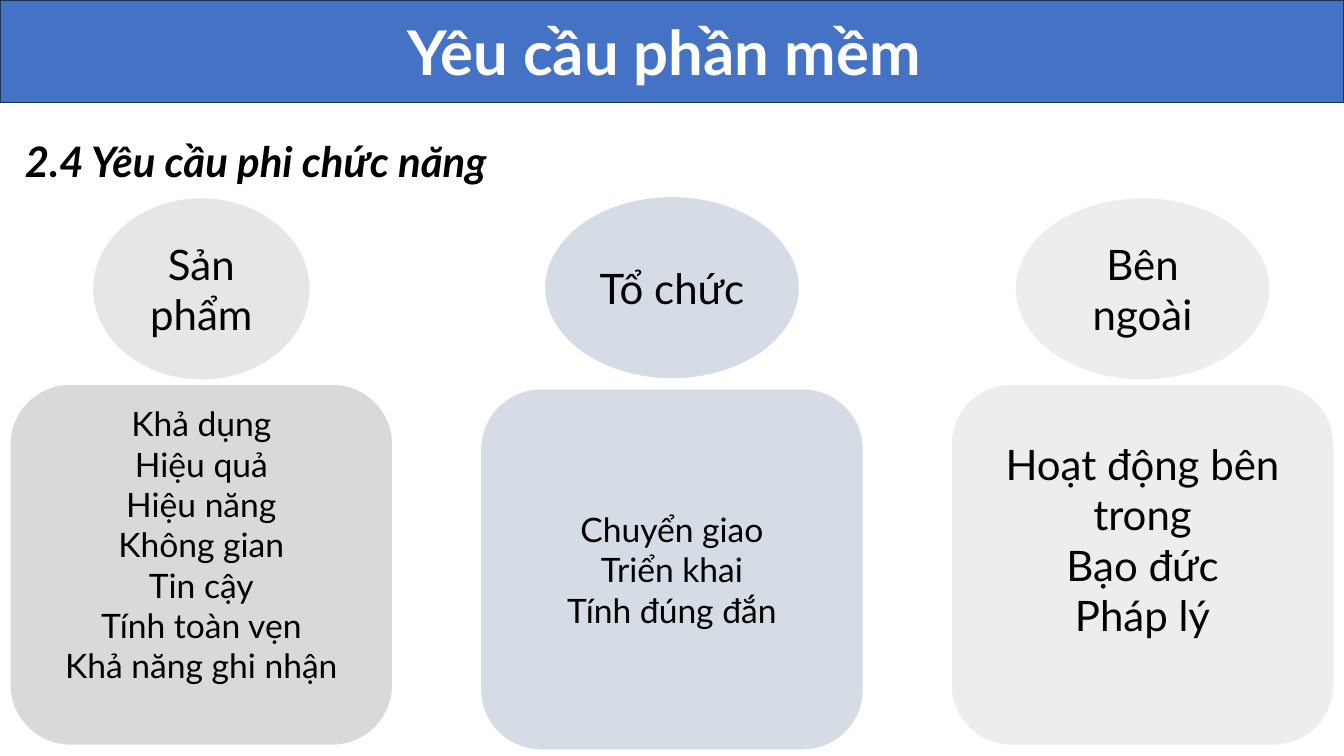
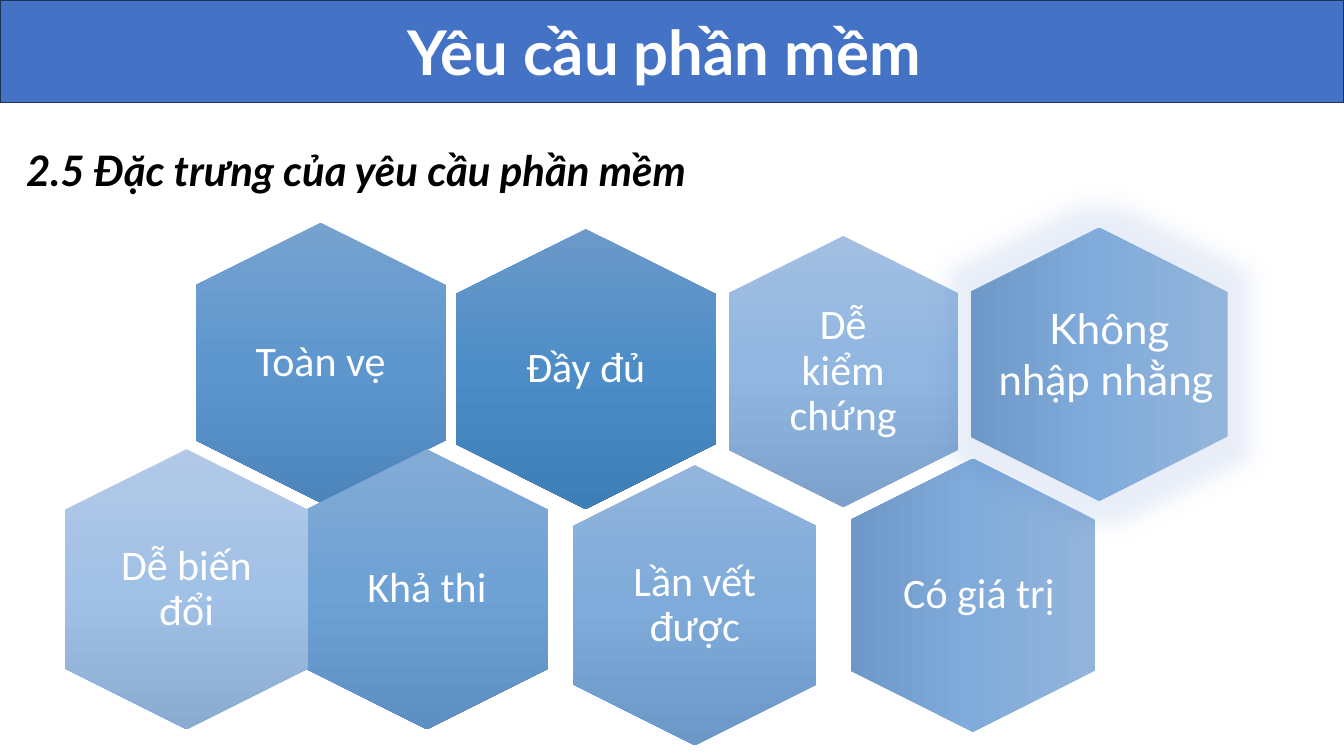
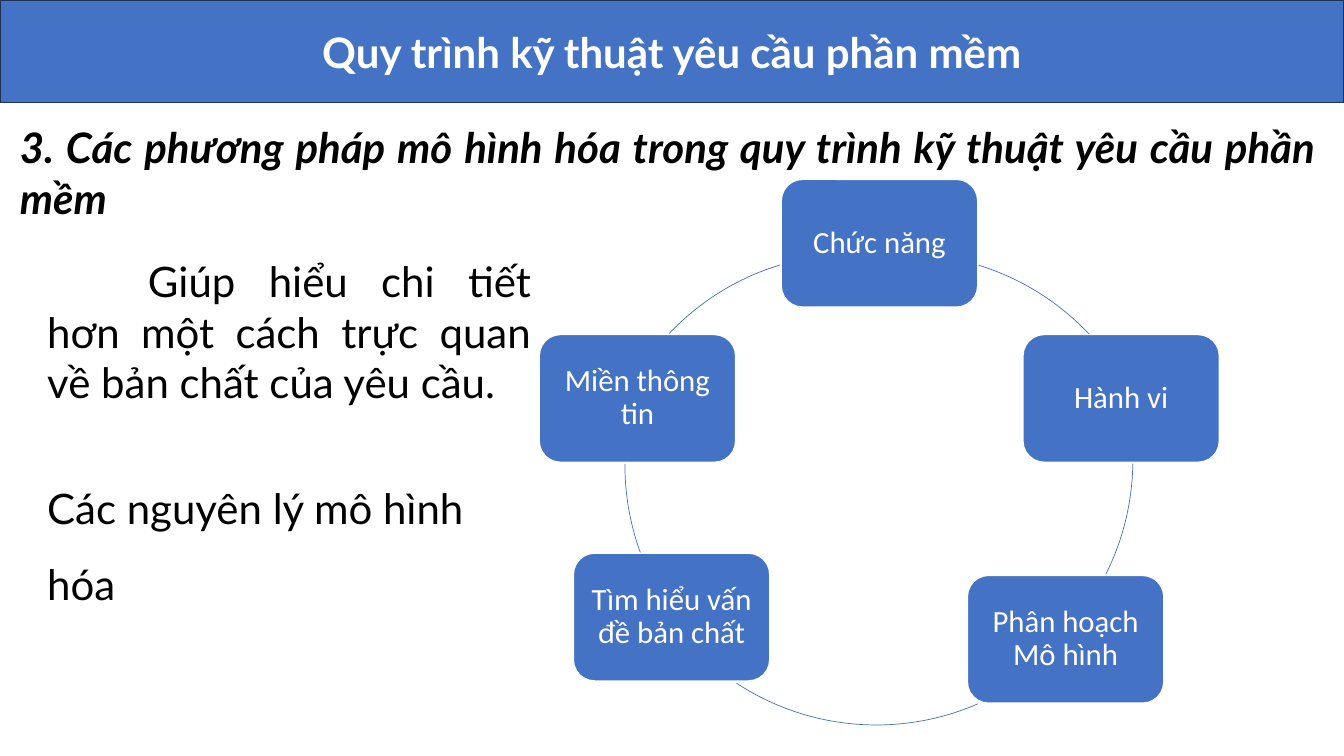
from dataclasses import dataclass

from pptx import Presentation
from pptx import util as u
from pptx.dml.color import RGBColor
from pptx.enum import shapes, text
from pptx.oxml import parse_xml
from pptx.oxml.ns import nsdecls, qn

Cm, Pt = u.Cm, u.Pt
SHAPE = shapes.MSO_SHAPE
ALIGN = text.PP_ALIGN


@dataclass(frozen=True)
class Theme:
    width: float = 33.87
    height: float = 19.05
    band_height: float = 2.59
    main_font: str = "Lato"
    diagram_font: str = "Calibri"
    blue: str = "4472C4"
    band_line: str = "1E3256"
    white: str = "FFFFFF"
    black: str = "000000"
    title_size: int = 44
    body_size: int = 30
    list_size: int = 24
    node_size: int = 22


T = Theme()


def rgb(value):
    return RGBColor.from_string(value)


def write(tf, lines, size=T.body_size, color=T.black, font=T.main_font,
          align=ALIGN.CENTER, bold=False, italic=False, spacing=None):
    """Fill a text frame with one paragraph for each line."""
    tf.word_wrap = True
    for i, line in enumerate(lines):
        p = tf.paragraphs[0] if i == 0 else tf.add_paragraph()
        p.text = line
        p.alignment = align
        p.line_spacing = spacing
        f = p.font
        f.name, f.size, f.bold, f.italic = font, Pt(size), bold, italic
        f.color.rgb = rgb(color)


def set_margins(tf, margin):
    tf.margin_left = tf.margin_right = tf.margin_top = tf.margin_bottom = Cm(margin)


def add_shape(slide, kind, left, top, width, height, fill=None, line=None, weight=1):
    sp = slide.shapes.add_shape(kind, Cm(left), Cm(top), Cm(width), Cm(height))
    sp.shadow.inherit = False
    if fill:
        sp.fill.solid()
        sp.fill.fore_color.rgb = rgb(fill)
    else:
        sp.fill.background()
    if line:
        sp.line.color.rgb = rgb(line)
        sp.line.width = Pt(weight)
    else:
        sp.line.fill.background()
    sp.text_frame.vertical_anchor = text.MSO_ANCHOR.MIDDLE
    return sp


def add_text(slide, left, top, width, height, lines, **style):
    tf = slide.shapes.add_textbox(Cm(left), Cm(top), Cm(width), Cm(height)).text_frame
    write(tf, lines, **style)
    return tf


def indent_first_line(p, distance):
    p._p.get_or_add_pPr().set("indent", str(Cm(distance)))


def new_slide(prs, title, title_size=T.title_size):
    """Add a blank slide with the title band."""
    slide = prs.slides.add_slide(prs.slide_layouts[6])
    band = add_shape(slide, SHAPE.RECTANGLE, 0, 0, T.width, T.band_height,
                     T.blue, T.band_line)
    write(band.text_frame, [title], title_size, T.white, bold=True)
    return slide


def add_heading(slide, left, top, height, line):
    add_text(slide, left, top, T.width - 0.7, height, [line],
             align=ALIGN.JUSTIFY, bold=True, italic=True)


def add_category(slide, left, top, gap, name, oval_width, items, fill, oval_fill,
                 size=T.list_size, lift=0):
    """Place an oval heading centred over its list card; lift raises the list."""
    card_width, card_height, oval_height = 9.65, 9.1, 4.6
    oval = add_shape(slide, SHAPE.OVAL, left + (card_width - oval_width) / 2, top,
                     oval_width, oval_height, oval_fill, T.white)
    write(oval.text_frame, [name])
    card = add_shape(slide, SHAPE.ROUNDED_RECTANGLE, left, top + oval_height + gap,
                     card_width, card_height, fill, T.white)
    card.text_frame.margin_bottom = Cm(0.13 + lift)
    write(card.text_frame, items, size)


def set_gradient(sp, colors, turns):
    """Give an even gradient, which turns with the shape or stays upright."""
    stops = "".join(
        f'<a:gs pos="{i * 50000}"><a:srgbClr val="{c}"/></a:gs>'
        for i, c in enumerate(colors))
    gradient = parse_xml(
        f'<a:gradFill {nsdecls("a")} rotWithShape="{int(turns)}">'
        f'<a:gsLst>{stops}</a:gsLst><a:lin ang="5400000" scaled="0"/></a:gradFill>')
    spPr = sp._element.spPr
    spPr.replace(spPr.find(qn("a:noFill")), gradient)


def add_glow(sp, radius, color, alpha):
    effects = sp._element.spPr.find(qn("a:effectLst"))
    effects.append(parse_xml(
        f'<a:glow {nsdecls("a")} rad="{Cm(radius)}"><a:srgbClr val="{color}">'
        f'<a:alpha val="{alpha * 1000}"/></a:srgbClr></a:glow>'))


def add_hexagon(slide, x, y, length, breadth, colors, turns=False):
    """Place an upright hexagon around the centre x, y."""
    sp = add_shape(slide, SHAPE.HEXAGON, x - length / 2, y - breadth / 2, length, breadth)
    sp.rotation = 90
    set_gradient(sp, colors, turns)
    return sp


def add_honeycomb(slide, left, top):
    soft = ("93B5DB", "80ABDA", "6D98C7")
    cells = [  # label, centre x, centre y, length, breadth, colours, turns, margin, shift
        ("Đầy đủ", 13.76, 4.3, 7.06, 6.55, ("6B99C9", "4D8DC7", "3E7EB7"), False, 0, 0),
        ("Toàn vẹ", 7.08, 4.14, 7.06, 6.3, ("77A2CF", "5E97CE", "4D86BD"), False, 0, 0),
        ("Khả thi", 9.76, 9.85, 7.06, 6.12, ("84ABD6", "6EA1D4", "5D8FC2"), False, 0, 0),
        ("Lần vết được", 16.51, 10.25, 7.06, 6.12, ("93B5DC", "7FABDA", "6C98C7"),
         False, 0, 0),
        ("Dễ kiểm chứng", 20.25, 4.36, 6.83, 5.77, ("A2BFE2", "91B6E0", "7CA1CC"),
         False, 0.3, 0),
        ("Dễ biến đổi", 3.7, 9.85, 7.06, 6.12, ("B1C9E7", "A2C1E6", "8CABD1"),
         False, 0, 0),
        ("Có giá trị", 23.52, 10, 6.88, 6.17, soft, True, 0, 0.15),
    ]
    for label, x, y, length, breadth, colors, turns, margin, shift in cells:
        x, y = left + x, top + y
        add_hexagon(slide, x, y, length, breadth, colors, turns)
        w, h = 0.68 * breadth, 0.68 * length
        tf = add_text(slide, x - w / 2 + shift, y - h / 2, w, h, [label],
                      color=T.white, font=T.diagram_font, spacing=0.9)
        tf.vertical_anchor = text.MSO_ANCHOR.MIDDLE
        set_margins(tf, margin)

    glowing = add_hexagon(slide, left + 26.7, top + 4.18, 6.88, 6.48, soft, True)
    add_glow(glowing, 1.1, T.blue, 12)
    tf = add_text(slide, left + 24.17, top + 1.27, 6.48, 5.26, ["Không nhập nhằng"],
                  color=T.white, align=ALIGN.LEFT)
    tf.vertical_anchor = text.MSO_ANCHOR.MIDDLE
    set_margins(tf, 0)
    indent_first_line(tf.paragraphs[0], 1.27)


def add_cycle(slide, left, top):
    """Place five nodes joined by arcs, each given by its circle and angles."""
    diameter, node_width, node_height = 12.83, 4.95, 3.22
    arcs = [(2.86, 1.9, 287.1, 316.8), (2.22, 0.68, 0.8, 26.6),
            (2.17, 0.94, 66.5, 123.3), (2.25, 0.81, 159.7, 180.3),
            (1.61, 1.9, 223.4, 253.1)]
    nodes = [("Chức năng", 6.19, 0.02), ("Hành vi", 12.28, 3.93),
             ("Phân hoạch Mô hình", 10.88, 10), ("Tìm hiểu vấn đề bản chất", 0.95, 9.44),
             ("Miền thông tin", 0.09, 3.93)]
    for x, y, start, end in arcs:
        arc = add_shape(slide, SHAPE.ARC, left + x, top + y, diameter, diameter,
                        line=T.blue, weight=0.5)
        for i, angle in enumerate((start, end)):
            arc.adjustments[i] = angle * 0.6  # 60000 units a degree, in 100000ths
    for label, x, y in nodes:
        node = add_shape(slide, SHAPE.ROUNDED_RECTANGLE, left + x, top + y,
                         node_width, node_height, T.blue, T.white)
        set_margins(node.text_frame, 0.23)
        write(node.text_frame, [label], T.node_size, T.white, T.diagram_font, spacing=0.9)


def add_explanation(slide, left, top, width, height):
    tf = add_text(slide, left, top, width, height,
                  ["Giúp hiểu chi tiết hơn một cách trực quan về bản chất của yêu cầu.",
                   "Các nguyên lý mô hình hóa"], align=ALIGN.JUSTIFY)
    purpose, principles = tf.paragraphs
    indent_first_line(purpose, 2.54)
    principles.alignment = ALIGN.LEFT
    principles.line_spacing = 1.5
    principles.space_before = Pt(36)


def build_categories(prs):
    slide = new_slide(prs, "Yêu cầu phần mềm ")
    add_heading(slide, 0.38, 3.28, 1.55, "2.4 Yêu cầu phi chức năng")
    left, pitch = 0.25, 11.86
    add_category(slide, left, 4.98, 0.1, "Sản phẩm", 5.49,
                 ["Khả dụng", "Hiệu quả", "Hiệu năng", "Không gian", "Tin cậy",
                  "Tính toàn vẹn", "Khả năng ghi nhận"], "D9D9D9", "E7E6E6", lift=1.02)
    add_category(slide, left + pitch, 4.95, 0.25, "Tổ chức", 6.43,
                 ["Chuyển giao", "Triển khai", "Tính đúng đắn"], "D6DCE5", "D6DCE5")
    add_category(slide, left + 2 * pitch, 4.98, 0.1, "Bên ngoài", 6.43,
                 ["Hoạt động bên trong", "Bạo đức", "Pháp lý"], "EDEDED", "EDEDED",
                 size=T.body_size, lift=1.27)


def build_traits(prs):
    slide = new_slide(prs, "Yêu cầu phần mềm ")
    add_heading(slide, 0.41, 3.53, 1.55, "2.5 Đặc trưng của yêu cầu phần mềm")
    add_honeycomb(slide, 1, 5)


def build_modelling(prs):
    slide = new_slide(prs, "Quy trình kỹ thuật yêu cầu phần mềm", T.body_size)
    add_heading(slide, 0.25, 2.95, 2.82,
                "3. Các phương pháp mô hình hóa trong quy trình kỹ thuật "
                "yêu cầu phần mềm")
    add_explanation(slide, 0.94, 6.32, 12.7, 8.97)
    add_cycle(slide, 13.5, 4.5)


def main():
    prs = Presentation()
    prs.slide_width, prs.slide_height = Cm(T.width), Cm(T.height)
    build_categories(prs)
    build_traits(prs)
    build_modelling(prs)
    prs.save("out.pptx")


if __name__ == "__main__":
    main()
